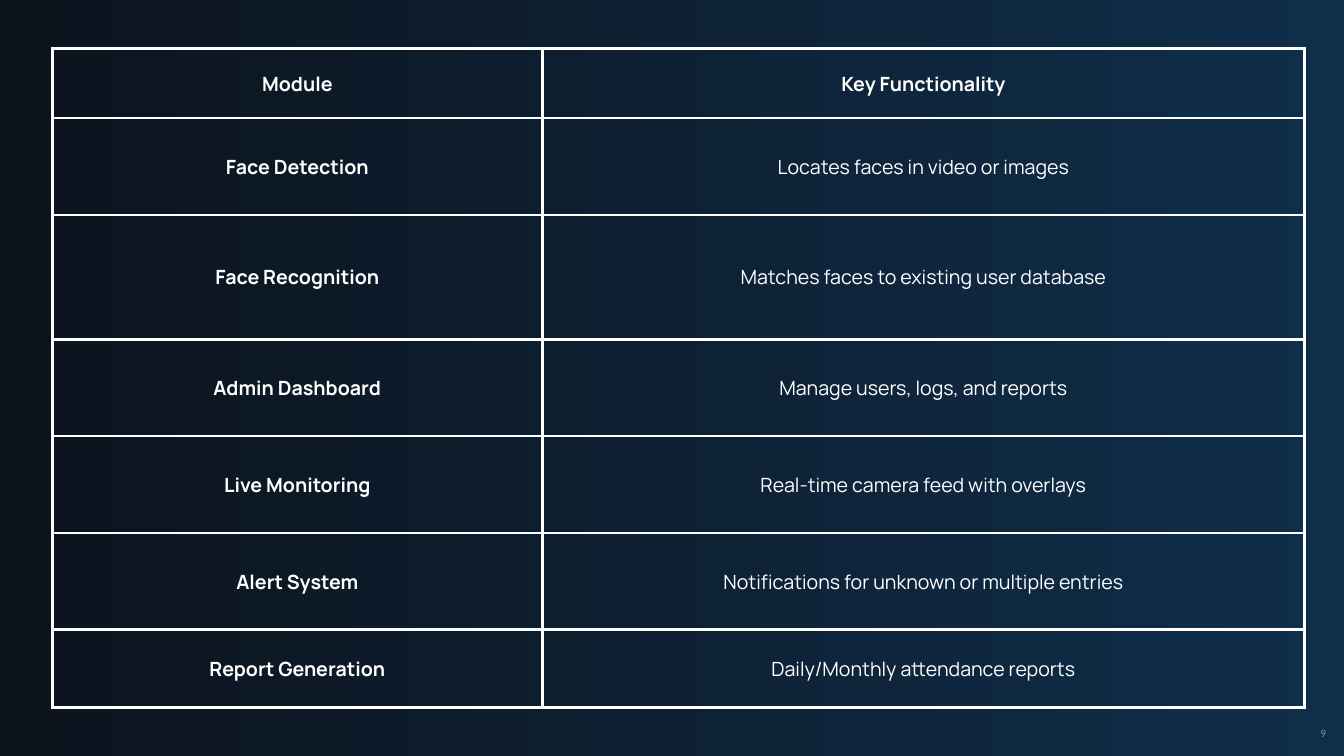
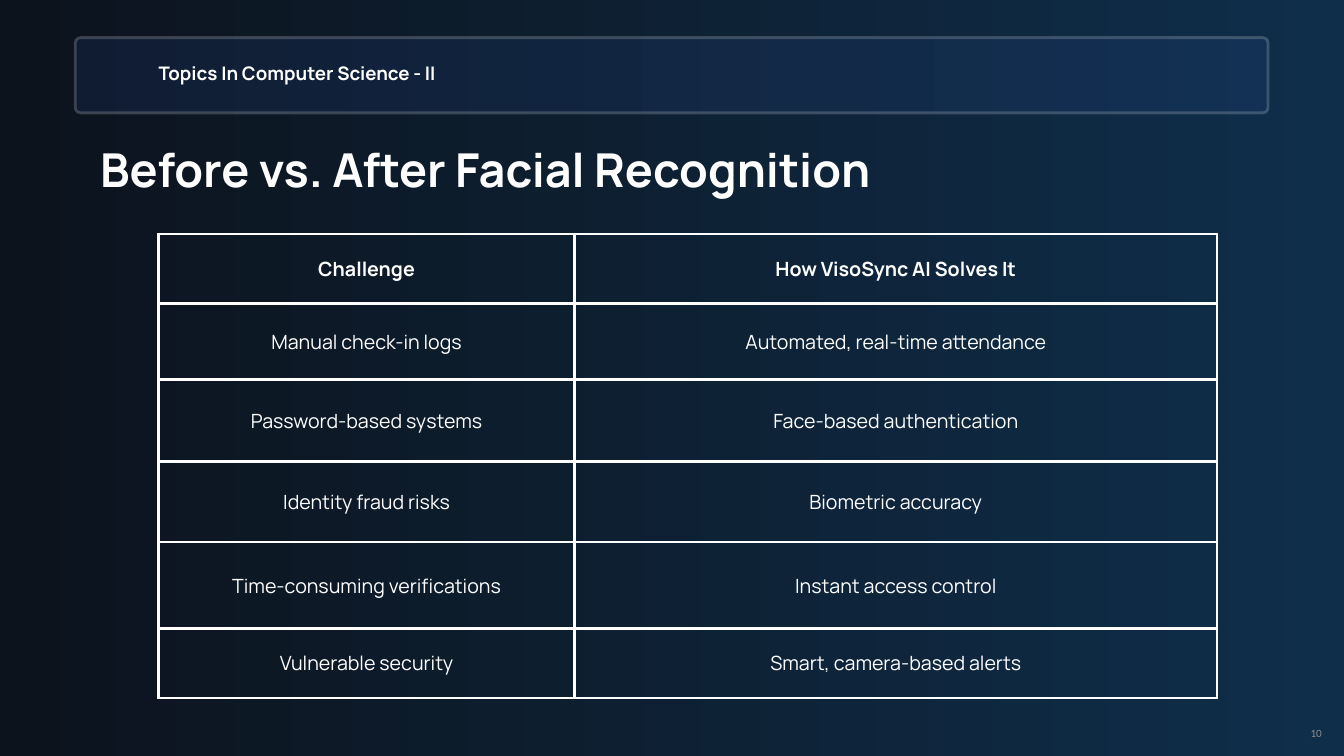
from dataclasses import dataclass

from lxml.etree import SubElement
from pptx import Presentation
from pptx.dml.color import RGBColor
from pptx.enum.shapes import MSO_SHAPE as Shape
from pptx.enum.text import MSO_ANCHOR as Anchor, PP_ALIGN as Align
from pptx.oxml import parse_xml
from pptx.oxml.ns import nsdecls, qn
from pptx.util import Inches, Pt


@dataclass(frozen=True)
class Theme:
    dark: RGBColor = RGBColor(0x0C, 0x13, 0x1D)
    navy: RGBColor = RGBColor(0x0F, 0x2E, 0x4A)
    band: RGBColor = RGBColor(0x24, 0x43, 0x89)
    white: RGBColor = RGBColor(0xFF, 0xFF, 0xFF)
    grey: RGBColor = RGBColor(0x8C, 0x8C, 0x8C)
    font: str = "Manrope"
    number_font: str = "Calibri"
    title: float = 50
    topic: float = 20
    cell: float = 21
    number: float = 12
    line: float = 3
    band_alpha: int = 19000


theme = Theme()


def write(frame, text, size, bold=False, color=theme.white, font=theme.font,
          align=Align.LEFT, spacing=None, inset=None):
    """Put one styled run in a text frame; spacing is in points, inset in inches."""
    frame.word_wrap = True
    if inset is not None:
        frame.margin_left = frame.margin_right = Inches(inset)
        frame.margin_top = frame.margin_bottom = Inches(inset)
    paragraph = frame.paragraphs[0]
    paragraph.alignment = align
    if spacing:
        paragraph.line_spacing = Pt(spacing)
    run = paragraph.add_run()
    run.text = text
    run.font.size = Pt(size)
    run.font.bold = bold
    run.font.name = font
    run.font.color.rgb = color


def add_grid(slide, left, top, widths, heights, rows, bold_first_column):
    """Add a white-ruled, unfilled table whose first row is bold."""
    table = slide.shapes.add_table(
        len(rows), len(widths), Inches(left), Inches(top),
        Inches(sum(widths)), Inches(sum(heights))).table
    table.first_row = table.horz_banding = False
    for column, width in zip(table.columns, widths):
        column.width = Inches(width)
    for row, height in zip(table.rows, heights):
        row.height = Inches(height)
    for r, texts in enumerate(rows):
        for c, text in enumerate(texts):
            cell = table.cell(r, c)
            cell.fill.background()
            cell.vertical_anchor = Anchor.MIDDLE
            cell.margin_left = cell.margin_right = Inches(0.21)
            cell.margin_top = cell.margin_bottom = Inches(0.21)
            write(cell.text_frame, text, theme.cell, align=Align.CENTER, spacing=29.4,
                  bold=r == 0 or (bold_first_column and c == 0))
            properties = cell._tc.get_or_add_tcPr()
            for i, side in enumerate(("lnL", "lnR", "lnT", "lnB")):
                properties.insert(i, parse_xml(
                    f'<a:{side} {nsdecls("a")} w="{Pt(theme.line)}"><a:solidFill>'
                    f'<a:srgbClr val="{theme.white}"/></a:solidFill></a:{side}>'))


prs = Presentation()
prs.slide_width = Inches(20)
prs.slide_height = Inches(11.25)

# Shared background and page numbers
slides = []
for number, number_left in (("9", 17.5), ("10", 17.44)):
    slide = prs.slides.add_slide(prs.slide_layouts[6])
    backdrop = slide.background.fill
    backdrop.gradient()
    backdrop.gradient_angle = 0
    for stop, position, color in zip(backdrop.gradient_stops, (0, 1), (theme.dark, theme.navy)):
        stop.position = position
        stop.color.rgb = color
    page = slide.shapes.add_textbox(
        Inches(number_left), Inches(10.71), Inches(2.33), Inches(0.4)).text_frame
    page.vertical_anchor = Anchor.MIDDLE
    write(page, number, theme.number, color=theme.grey, font=theme.number_font,
          align=Align.RIGHT)
    slides.append(slide)
modules_slide, comparison_slide = slides

# Modules
add_grid(modules_slide, 0.78, 0.72, (7.29, 11.34),
         (1.04, 1.44, 1.85, 1.44, 1.44, 1.44, 1.16), (
             ("Module", "Key Functionality"),
             ("Face Detection", "Locates faces in video or images"),
             ("Face Recognition", "Matches faces to existing user database"),
             ("Admin Dashboard\t", "Manage users, logs, and reports"),
             ("Live Monitoring", "Real-time camera feed with overlays"),
             ("Alert System", "Notifications for unknown or multiple entries"),
             ("Report Generation", "Daily/Monthly attendance reports"),
         ), bold_first_column=True)

# Before vs. after
topic_band = comparison_slide.shapes.add_shape(
    Shape.ROUNDED_RECTANGLE, Inches(1.12), Inches(0.56), Inches(17.75), Inches(1.12))
topic_band.adjustments[0] = 0.07
topic_band.shadow.inherit = False
topic_band.fill.solid()
topic_band.fill.fore_color.rgb = theme.band
topic_band.line.color.rgb = theme.white
topic_band.line.width = Pt(theme.line)
for tint in topic_band._element.spPr.iter(qn("a:srgbClr")):
    SubElement(tint, qn("a:alpha")).set("val", str(theme.band_alpha))

add_grid(comparison_slide, 2.36, 3.48, (6.19, 9.56),
         (1.04, 1.13, 1.22, 1.2, 1.28, 1.04), (
             ("Challenge", "How VisoSync AI Solves It"),
             ("Manual check-in logs", "Automated, real-time attendance"),
             ("Password-based systems", "Face-based authentication"),
             ("Identity fraud risks", "Biometric accuracy"),
             ("Time-consuming verifications", "Instant access control"),
             ("Vulnerable security", "Smart, camera-based alerts"),
         ), bold_first_column=False)

for text, size, spacing, box in (
        ("Topics In Computer Science - II", theme.topic, 21.4, (2.36, 0.96, 5.12, 0.31)),
        ("Before vs. After Facial Recognition", theme.title, 53.5, (1.49, 2.19, 15.91, 0.76))):
    heading = comparison_slide.shapes.add_textbox(*map(Inches, box)).text_frame
    write(heading, text, size, bold=True, spacing=spacing, inset=0)

prs.save("out.pptx")
